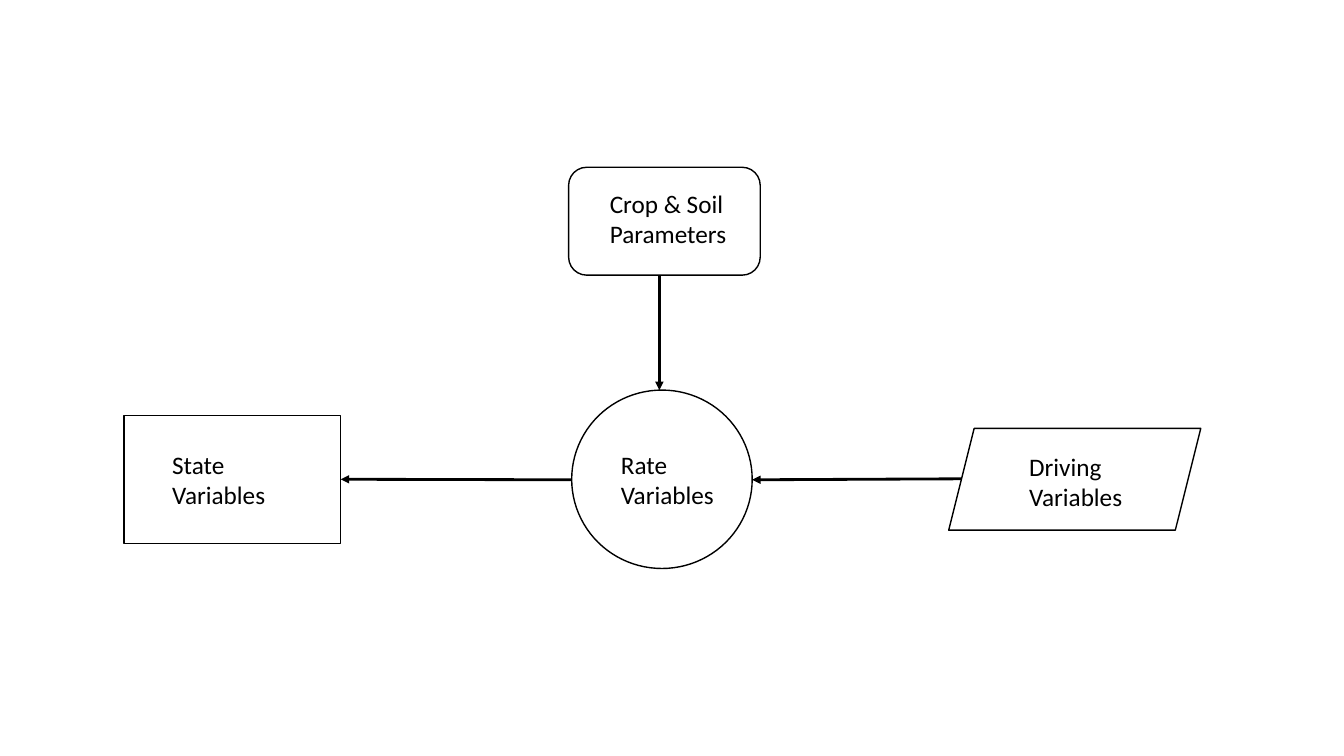
from lxml.etree import SubElement
from pptx import Presentation
from pptx.dml.color import RGBColor
from pptx.enum.shapes import MSO_CONNECTOR, MSO_SHAPE
from pptx.oxml.ns import qn
from pptx.util import Inches, Pt

BLACK = RGBColor(0x00, 0x00, 0x00)
WHITE = RGBColor(0xFF, 0xFF, 0xFF)
RIGHT_SIDE = 3


def add_text(shapes, text, box, size=18, font="Calibri", color=BLACK):
    label = shapes.add_textbox(*map(Inches, box))
    label.text_frame.word_wrap = True
    run = label.text_frame.paragraphs[0].add_run()
    run.text = text
    run.font.size = Pt(size)
    run.font.name = font
    run.font.color.rgb = color


def add_node(slide, preset, box, text, text_box):
    """Group an outlined shape with its label and return the shape."""
    group = slide.shapes.add_group_shape()
    node = group.shapes.add_shape(preset, *map(Inches, box))
    node.shadow.inherit = False
    node.fill.solid()
    node.fill.fore_color.rgb = WHITE
    node.line.color.rgb = BLACK
    node.line.width = Pt(1)
    add_text(group.shapes, text, text_box)
    return node


def add_arrow(slide, start, end):
    arrow = slide.shapes.add_connector(
        MSO_CONNECTOR.STRAIGHT, *map(Inches, start + end))
    arrow.line.color.rgb = BLACK
    arrow.line.width = Pt(2)
    SubElement(arrow.line._get_or_add_ln(), qn("a:tailEnd"), type="triangle")
    SubElement(arrow._element.spPr, qn("a:effectLst"))
    return arrow


def main():
    prs = Presentation()
    prs.slide_width = Inches(13.33)
    prs.slide_height = Inches(7.5)
    slide = prs.slides.add_slide(prs.slide_layouts[6])

    add_node(slide, MSO_SHAPE.PARALLELOGRAM, (9.41, 4.25, 2.5, 1.01),
             "Driving Variables", (10.11, 4.43, 1.27, 0.71))
    add_node(slide, MSO_SHAPE.OVAL, (5.67, 3.87, 1.79, 1.77),
             "Rate Variables", (6.06, 4.41, 1.16, 0.71))
    add_node(slide, MSO_SHAPE.FLOWCHART_ALTERNATE_PROCESS,
             (5.64, 1.66, 1.9, 1.07),
             "Crop & Soil Parameters", (5.95, 1.82, 1.38, 0.71))
    state = add_node(slide, MSO_SHAPE.RECTANGLE, (1.23, 4.12, 2.15, 1.27),
                     "State Variables", (1.61, 4.41, 1.16, 0.71))

    add_arrow(slide, (9.54, 4.75), (7.46, 4.76))
    add_arrow(slide, (6.54, 2.73), (6.54, 3.87))
    rate_to_state = add_arrow(slide, (5.67, 4.76), (3.38, 4.76))
    rate_to_state.end_connect(state, RIGHT_SIDE)

    prs.save("out.pptx")


if __name__ == "__main__":
    main()
